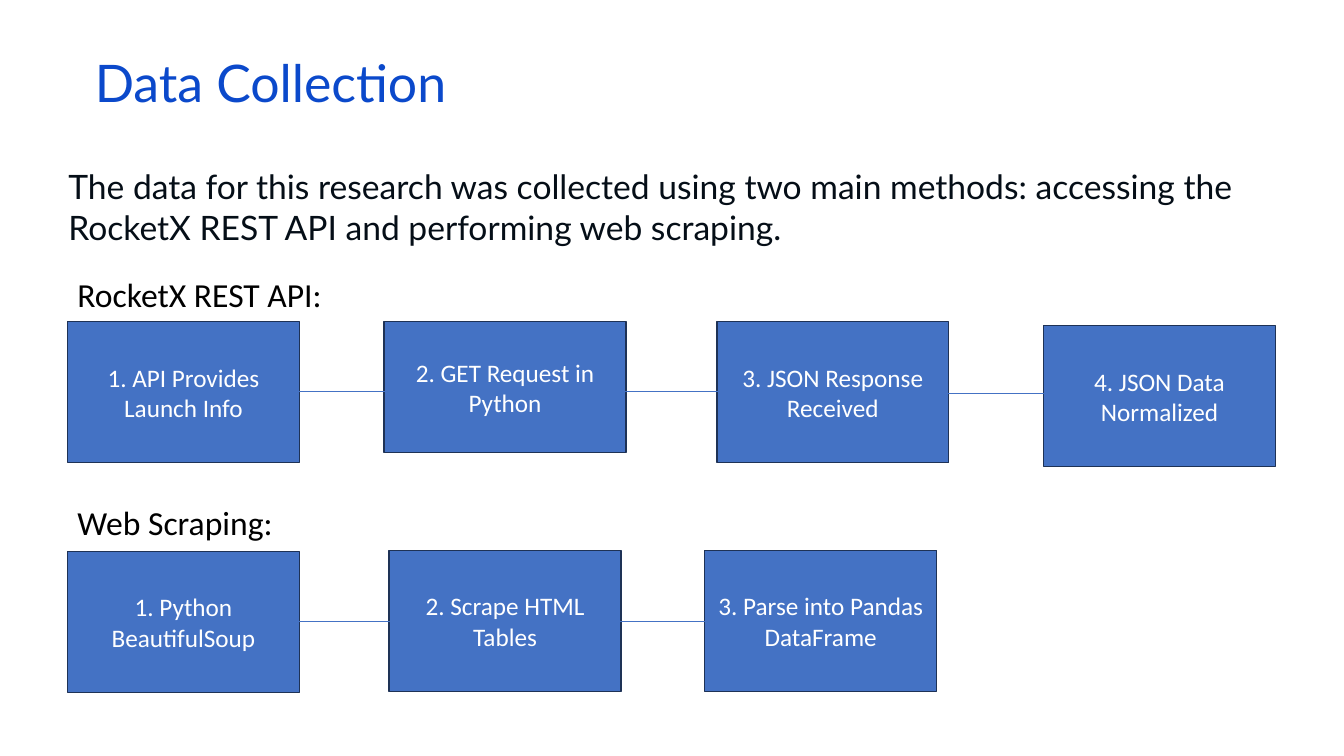
from lxml import etree
from pptx import Presentation
from pptx.dml.color import RGBColor
from pptx.enum.shapes import MSO_CONNECTOR, MSO_SHAPE
from pptx.enum.text import MSO_ANCHOR, MSO_AUTO_SIZE, PP_ALIGN
from pptx.oxml.ns import qn
from pptx.util import Inches, Pt

COLORS = {
    "title": "0B49CB",
    "body": "050E17",
    "heading": "000000",
    "box": "4472C4",
    "outline": "1E3256",
    "box_text": "FFFFFF",
}

# Each step: text, left, top, width, height
API_STEPS = [
    ("1. API Provides Launch Info", 0.67, 3.19, 2.3, 1.4),
    ("2. GET Request in Python", 3.81, 3.19, 2.4, 1.3),
    ("3. JSON Response Received", 7.11, 3.19, 2.3, 1.4),
    ("4. JSON Data Normalized", 10.35, 3.23, 2.3, 1.4),
]
SCRAPING_STEPS = [
    ("1. Python BeautifulSoup", 0.67, 5.47, 2.3, 1.4),
    ("2. Scrape HTML Tables", 3.86, 5.46, 2.3, 1.4),
    ("3. Parse into Pandas DataFrame", 6.99, 5.46, 2.3, 1.4),
]
# Each link: start x, end x, y
API_LINKS = [(2.88, 4.03, 3.88), (6.07, 7.21, 3.88), (9.4, 10.54, 3.9)]
SCRAPING_LINKS = [(2.87, 4.52, 6.16), (5.72, 7.11, 6.16)]


def color(name):
    return RGBColor.from_string(COLORS[name])


def set_text(tf, text, size, font, color_name, align=PP_ALIGN.LEFT):
    tf.word_wrap = True
    p = tf.paragraphs[0]
    p.text = text
    p.alignment = align
    p.font.size = Pt(size)
    p.font.name = font
    p.font.color.rgb = color(color_name)
    return p


def add_title(s, text):
    title = s.shapes.title
    title.left, title.top = Inches(0.84), Inches(0.59)
    title.width, title.height = Inches(11.5), Inches(0.6)
    tf = title.text_frame
    tf.auto_size = MSO_AUTO_SIZE.NONE
    tf.vertical_anchor = MSO_ANCHOR.MIDDLE
    p = set_text(tf, text, 37, "Lato", "title")
    p.line_spacing = 0.7


def add_text(s, text, left, top, width, height, font, color_name):
    sp = s.shapes.add_textbox(
        Inches(left), Inches(top), Inches(width), Inches(height))
    set_text(sp.text_frame, text, 24, font, color_name)


def add_step(s, text, left, top, width, height):
    sp = s.shapes.add_shape(
        MSO_SHAPE.FLOWCHART_PROCESS,
        Inches(left), Inches(top), Inches(width), Inches(height))
    sp.shadow.inherit = False
    sp.fill.solid()
    sp.fill.fore_color.rgb = color("box")
    sp.line.color.rgb = color("outline")
    sp.line.width = Pt(1)
    tf = sp.text_frame
    tf.vertical_anchor = MSO_ANCHOR.MIDDLE
    set_text(tf, text, 18, "Calibri", "box_text", PP_ALIGN.CENTER)


def add_link(s, start, end, y):
    link = s.shapes.add_connector(
        MSO_CONNECTOR.STRAIGHT,
        Inches(start), Inches(y), Inches(end), Inches(y))
    link.line.color.rgb = color("box")
    link.line.width = Pt(0.5)
    etree.SubElement(link._element.spPr, qn("a:effectLst"))


def add_flow(s, heading, top, width, steps, links):
    for step in steps:
        add_step(s, *step)
    for link in links:
        add_link(s, *link)
    add_text(s, heading, 0.67, top, width, 0.5, "Calibri", "heading")


def main():
    prs = Presentation()
    prs.slide_width, prs.slide_height = Inches(13.33), Inches(7.5)
    s = prs.slides.add_slide(prs.slide_layouts[5])

    # Title and introduction
    add_title(s, "Data Collection")
    add_text(
        s,
        "The data for this research was collected using two main methods: "
        "accessing the RocketX REST API and performing web scraping.",
        0.58, 1.6, 12.75, 1.21, "Lato", "body")

    # The two collection flows
    add_flow(s, "RocketX REST API:", 2.67, 3.57, API_STEPS, API_LINKS)
    add_flow(s, "Web Scraping:", 4.93, 2.3, SCRAPING_STEPS, SCRAPING_LINKS)

    prs.save("out.pptx")


if __name__ == "__main__":
    main()
